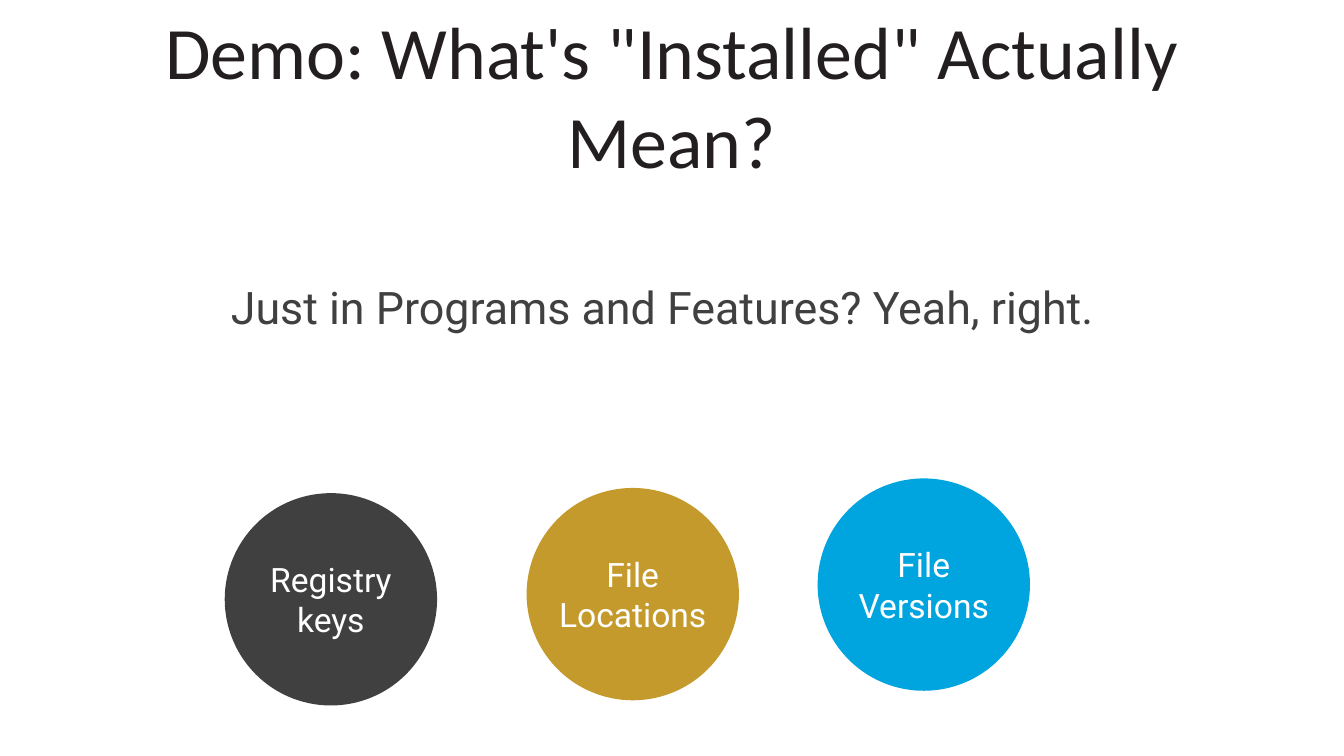
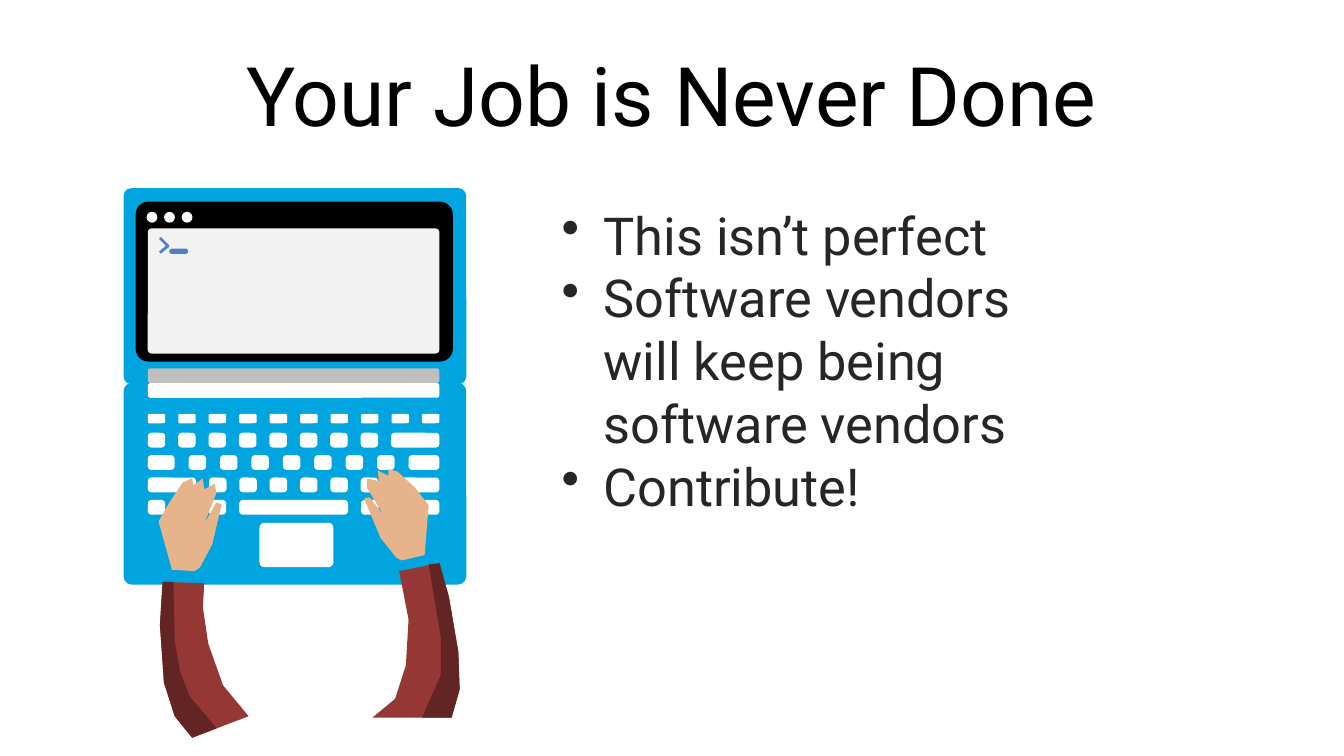
from dataclasses import dataclass
from math import cos, radians, sin
from typing import Optional

from lxml.etree import SubElement
from pptx import Presentation
from pptx.dml.color import RGBColor
from pptx.enum.shapes import MSO_SHAPE
from pptx.enum.text import MSO_ANCHOR, MSO_AUTO_SIZE, PP_ALIGN
from pptx.oxml.ns import qn
from pptx.shapes.autoshape import Shape
from pptx.shapes.shapetree import GroupShapes, SlideShapes
from pptx.slide import Slide
from pptx.text.text import TextFrame
from pptx.util import Pt

COLORS = {
    "ink": "231F20",
    "black": "000000",
    "white": "FFFFFF",
    "charcoal": "404040",
    "body": "262626",
    "gold": "C49A2C",
    "blue": "00A4DE",
    "hinge": "BFBFBF",
    "screen": "F2F2F2",
    "prompt": "4F81BD",
    "sleeve": "953735",
    "sleeve shade": "632523",
    "skin": "E7B38A",
}
FONT = "Roboto"
OUTLINE_UNIT = Pt(0.72)  # outline points count hundredths of an inch
BULLET_INDENT = Pt(22.5)
CIRCLE_SIZE = 113.76

BODY_LEFT, BODY_WIDTH, HINGE_TOP = 66.2, 183.6, 205.2
KEYS_LEFT, KEYS_WIDTH, KEY_HEIGHT = 79.2, 156.24, 7.92
KEY, WIDE_KEY, SPACE_BAR = 9.36, 25.92, 58.32
FIRST_KEY_TOP, KEY_TOP, KEY_PITCH = 221.76, 231.84, 12
KEY_ROWS = [
    [KEY] * 8 + [WIDE_KEY],
    [14.4] + [KEY] * 7 + [16.56],
    [WIDE_KEY] + [KEY] * 6 + [WIDE_KEY],
    [KEY] * 3 + [SPACE_BAR] + [KEY] * 3,
]

Points = list[tuple[int, int]]


@dataclass(frozen=True)
class Circle:
    label: str
    left: float
    top: float
    color: str


@dataclass(frozen=True)
class Panel:
    left: float
    top: float
    width: float
    height: float
    corner: float
    color: str


@dataclass(frozen=True)
class Arm:
    outer_edge: Points  # from the elbow up to the wrist
    inner_edge: Points  # from the wrist down to the elbow
    fold: Points        # border of the shaded side, wrist to elbow
    hand: Points


CIRCLES = [
    Circle("File Locations", 282.1, 261.4, "gold"),
    Circle("Registry keys", 120.4, 264.2, "charcoal"),
    Circle("File Versions", 438, 256.3, "blue"),
]

LAPTOP_PANELS = [
    Panel(BODY_LEFT, 100.8, BODY_WIDTH, 105.1, 0.04, "blue"),
    Panel(BODY_LEFT, HINGE_TOP, BODY_WIDTH, 108, 0.04, "blue"),
    Panel(KEYS_LEFT, HINGE_TOP - KEY_HEIGHT, KEYS_WIDTH, KEY_HEIGHT, 0.19, "hinge"),
    Panel(KEYS_LEFT, HINGE_TOP, KEYS_WIDTH, KEY_HEIGHT, 0.19, "white"),
    Panel(72.7, 108, 169.9, 85.7, 0.08, "black"),
    Panel(KEYS_LEFT, 122.4, KEYS_WIDTH, 67, 0.03, "screen"),
    Panel(90.7, 133.2, 10.1, 2.9, 0.5, "prompt"),
    Panel(139, 280.1, 39.6, 23.8, 0.11, "white"),
]
PROMPT_CHEVRON: Points = [(119, 177), (125, 183), (119, 188)]

LEFT_HAND: Points = [
    (128, 424), (118, 388), (126, 374), (136, 359), (143, 356), (144, 361),
    (151, 356), (152, 364), (160, 360), (161, 367), (152, 390), (161, 374),
    (165, 375), (158, 405), (149, 422), (145, 425),
]
RIGHT_WRIST = (316, 413)
RIGHT_HAND_TURN = radians(-10.4)


def mirrored_hand() -> Points:
    """Flip the left hand about its wrist, turn it and move it to the right wrist."""
    wrist_x, wrist_y = LEFT_HAND[0]
    turn_cos, turn_sin = cos(RIGHT_HAND_TURN), sin(RIGHT_HAND_TURN)
    points = []
    for x, y in LEFT_HAND:
        across, down = wrist_x - x, y - wrist_y
        points.append((round(RIGHT_WRIST[0] + across * turn_cos - down * turn_sin),
                       round(RIGHT_WRIST[1] + across * turn_sin + down * turn_cos)))
    return points


ARMS = [
    Arm(
        outer_edge=[(336, 534), (342, 513), (341, 485), (334, 444), (327, 419)],
        inner_edge=[(297, 425), (304, 461), (302, 495), (294, 520), (277, 534)],
        fold=[(319, 420), (328, 474), (328, 502), (314, 534)],
        hand=mirrored_hand(),
    ),
    Arm(
        outer_edge=[(143, 549), (130, 533), (122, 508), (119, 465), (121, 433)],
        inner_edge=[(152, 434), (151, 452), (155, 479), (166, 510), (185, 533)],
        fold=[(129, 433), (130, 477), (134, 500), (141, 518), (161, 542)],
        hand=LEFT_HAND,
    ),
]


def rgb(color: str) -> RGBColor:
    return RGBColor.from_string(COLORS[color])


def write_text(frame: TextFrame, *lines: str, size: float, color: str,
               font: str = FONT, align: Optional[PP_ALIGN] = None,
               anchor: MSO_ANCHOR = MSO_ANCHOR.TOP, bullet: str = "") -> None:
    """Write each line as one paragraph, all in the same format."""
    frame.word_wrap = True
    frame.vertical_anchor = anchor
    for index, line in enumerate(lines):
        paragraph = frame.add_paragraph() if index else frame.paragraphs[0]
        paragraph.alignment = align
        run = paragraph.add_run()
        run.text = line
        run.font.name = font
        run.font.size = Pt(size)
        run.font.color.rgb = rgb(color)
        if bullet:
            properties = paragraph._p.get_or_add_pPr()
            properties.set("marL", str(BULLET_INDENT))
            properties.set("indent", str(-BULLET_INDENT))
            SubElement(properties, qn("a:buChar")).set("char", bullet)


def add_text_box(slide: Slide, left: float, top: float, width: float,
                 height: float) -> TextFrame:
    box = slide.shapes.add_textbox(Pt(left), Pt(top), Pt(width), Pt(height))
    return box.text_frame


def add_title(slide: Slide, text: str, size: float, color: str,
              font: str = FONT) -> None:
    write_text(add_text_box(slide, 36, 16.6, 648, 67.7), text, size=size,
               color=color, font=font, align=PP_ALIGN.CENTER,
               anchor=MSO_ANCHOR.MIDDLE)


def paint(shape: Shape, color: str) -> Shape:
    shape.shadow.inherit = False
    shape.fill.solid()
    shape.fill.fore_color.rgb = rgb(color)
    shape.line.fill.background()
    return shape


def add_ellipse(shapes: SlideShapes | GroupShapes, left: float, top: float,
                size: float, color: str) -> Shape:
    shape = shapes.add_shape(MSO_SHAPE.OVAL, Pt(left), Pt(top), Pt(size), Pt(size))
    return paint(shape, color)


def add_circle(slide: Slide, circle: Circle) -> None:
    shape = add_ellipse(slide.shapes, circle.left, circle.top, CIRCLE_SIZE, circle.color)
    frame = shape.text_frame
    frame.margin_left = frame.margin_right = 0
    write_text(frame, circle.label, size=18, color="white",
               align=PP_ALIGN.CENTER, anchor=MSO_ANCHOR.MIDDLE)


def add_panel(shapes: GroupShapes, panel: Panel) -> None:
    shape = shapes.add_shape(MSO_SHAPE.ROUNDED_RECTANGLE, Pt(panel.left),
                             Pt(panel.top), Pt(panel.width), Pt(panel.height))
    shape.adjustments[0] = panel.corner
    paint(shape, panel.color)


def add_outline(shapes: GroupShapes, points: Points, close: bool = True) -> Shape:
    builder = shapes.build_freeform(*points[0], scale=OUTLINE_UNIT)
    builder.add_line_segments(points[1:], close=close)
    return builder.convert_to_shape()


def add_arm(shapes: GroupShapes, arm: Arm) -> None:
    paint(add_outline(shapes, arm.outer_edge + arm.inner_edge), "sleeve")
    paint(add_outline(shapes, arm.outer_edge + arm.fold), "sleeve shade")
    paint(add_outline(shapes, arm.hand), "skin")


def add_key_row(shapes: GroupShapes, widths: list[float], top: float,
                height: float = KEY_HEIGHT, corner: float = 0.25) -> None:
    """Spread the keys evenly over the full width of the keyboard."""
    gap = (KEYS_WIDTH - sum(widths)) / (len(widths) - 1)
    left = KEYS_LEFT
    for width in widths:
        add_panel(shapes, Panel(left, top, width, height, corner, "white"))
        left += width + gap


def add_laptop(slide: Slide) -> None:
    shapes = slide.shapes.add_group_shape().shapes
    for panel in LAPTOP_PANELS:
        add_panel(shapes, panel)
    for index in range(3):
        add_ellipse(shapes, 78.5 + 9.4 * index, 113.5, 5.8, "white")

    chevron = add_outline(shapes, PROMPT_CHEVRON, close=False)
    chevron.shadow.inherit = False
    chevron.fill.background()
    chevron.line.color.rgb = rgb("prompt")
    chevron.line.width = Pt(1.5)

    add_key_row(shapes, [KEY] * 10, FIRST_KEY_TOP, height=5.04, corner=0.17)
    for index, widths in enumerate(KEY_ROWS):
        add_key_row(shapes, widths, KEY_TOP + index * KEY_PITCH)
    for arm in ARMS:
        add_arm(shapes, arm)


def build_demo_slide(slide: Slide) -> None:
    add_title(slide, "Demo: What's \"Installed\" Actually Mean?", 39.6, "ink", "Calibri")
    for circle in CIRCLES:
        add_circle(slide, circle)
    frame = add_text_box(slide, 116.6, 146.2, 486, 36)
    frame.auto_size = MSO_AUTO_SIZE.SHAPE_TO_FIT_TEXT
    write_text(frame, "Just in Programs and Features? Yeah, right.",
               size=24, color="charcoal")


def build_job_slide(slide: Slide) -> None:
    add_title(slide, "Your Job is Never Done", 44, "black")
    add_laptop(slide)
    frame = add_text_box(slide, 293.8, 105.1, 300.2, 177.1)
    frame.auto_size = MSO_AUTO_SIZE.SHAPE_TO_FIT_TEXT
    write_text(frame, "This isn’t perfect",
               "Software vendors will keep being software vendors",
               "Contribute!", size=28, color="body", bullet="•")


def main() -> None:
    presentation = Presentation()
    presentation.slide_width = Pt(720)
    presentation.slide_height = Pt(405)
    blank_layout = presentation.slide_layouts[6]
    for build in (build_demo_slide, build_job_slide):
        build(presentation.slides.add_slide(blank_layout))
    presentation.save("out.pptx")


if __name__ == "__main__":
    main()
